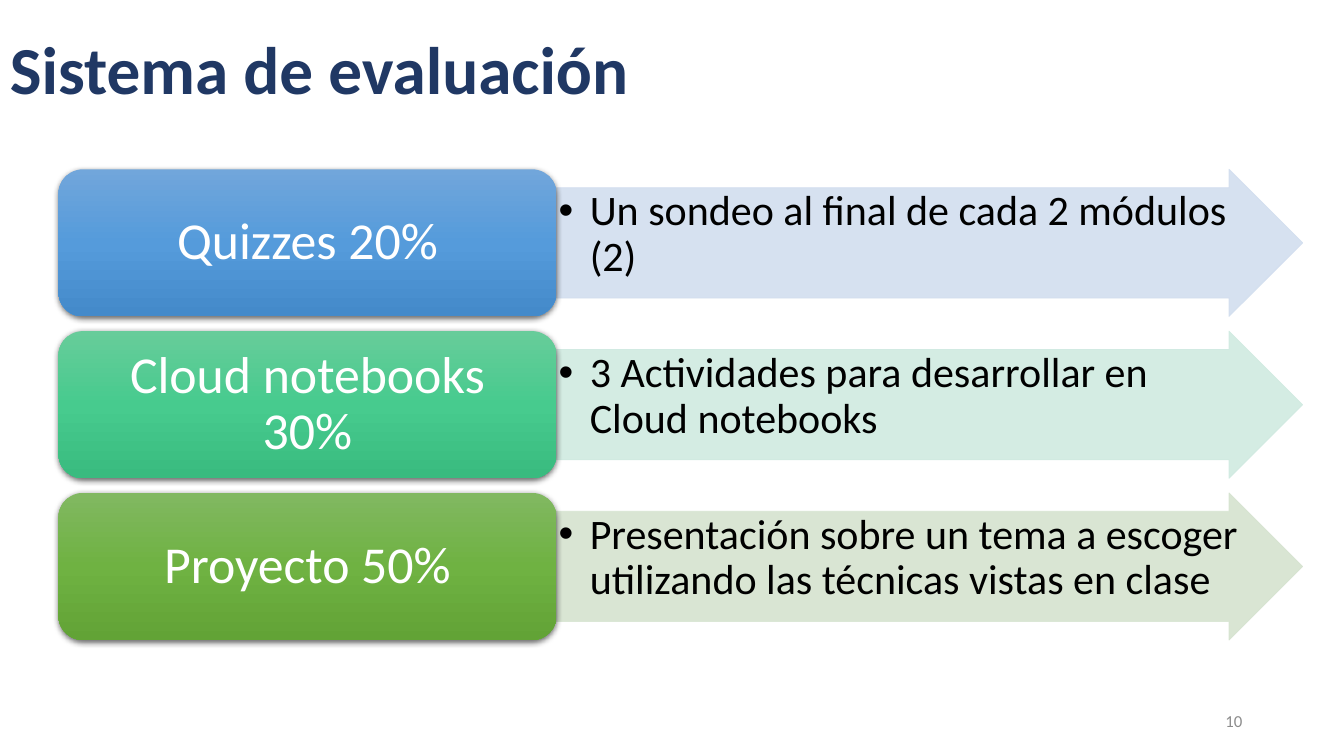
"""Build the slide on the evaluation system: three weighted parts and what each one asks."""
from copy import deepcopy

from lxml import etree
from pptx import Presentation
from pptx import util as u
from pptx.dml.color import RGBColor
from pptx.enum import shapes, text
from pptx.oxml import ns

THEME = {
    "font": "Calibri",
    "title": (48, "203864"),
    "label": (37, "FFFFFF"),
    "detail": (30, "000000"),
    "number": (12, "8C8C8C"),
    "rows": [
        ("D2DEEF", ("71A6DB", "559BDB", "448ACA")),
        ("D0EAE1", ("67CC9A", "47CB8E", "39BB7F")),
        ("D5E3CF", ("81B861", "6FB242", "62A336")),
    ],
}
PARTS = [
    ("Quizzes 20%", "Un sondeo al final de cada 2 módulos (2)"),
    ("Cloud notebooks 30%", "3 Actividades para desarrollar en Cloud notebooks"),
    ("Proyecto 50%", "Presentación sobre un tema a escoger utilizando las técnicas vistas en clase"),
]
LEFT, TOP = 0.58, 1.68
LABEL_WIDTH, ARROW_WIDTH = 4.94, 7.4
ROW_HEIGHT, ROW_PITCH = 1.46, 1.605
BULLET_INDENT = u.Inches(0.31)


def write(box, words, style, align, anchor, insets=(0.1, 0.05), spacing=0.9):
    """Fill a box with one styled paragraph and return the paragraph."""
    frame = box.text_frame
    frame.word_wrap = True
    frame.vertical_anchor = anchor
    frame.margin_left = frame.margin_right = u.Inches(insets[0])
    frame.margin_top = frame.margin_bottom = u.Inches(insets[1])
    para = frame.paragraphs[0]
    para.alignment = align
    para.line_spacing = spacing
    span = para.add_run()
    span.text = words
    size, color = THEME[style]
    span.font.name = THEME["font"]
    span.font.size = u.Pt(size)
    span.font.color.rgb = RGBColor.from_string(color)
    return para


def add_child(parent, tag, **attributes):
    """Append a DrawingML element and return it."""
    values = {name: str(value) for name, value in attributes.items()}
    return etree.SubElement(parent, ns.qn(tag), values)


deck = Presentation()
deck.slide_width, deck.slide_height = u.Inches(13.33), u.Inches(7.5)
page = deck.slides.add_slide(deck.slide_layouts[6])

title = page.shapes.add_textbox(0, 0, u.Inches(11.5), u.Inches(1.45))
heading = write(title, "Sistema de evaluación", "title", text.PP_ALIGN.LEFT, text.MSO_ANCHOR.MIDDLE)
heading.runs[0].font.bold = True

for row, ((name, task), (tint, shades)) in enumerate(zip(PARTS, THEME["rows"])):
    top = u.Inches(TOP + row * ROW_PITCH)
    height = u.Inches(ROW_HEIGHT)

    arrow = page.shapes.add_shape(
        shapes.MSO_SHAPE.RIGHT_ARROW,
        u.Inches(LEFT + LABEL_WIDTH), top, u.Inches(ARROW_WIDTH), height)
    arrow.adjustments[0] = 0.75
    arrow.adjustments[1] = 0.5
    arrow.shadow.inherit = False
    arrow.line.width = u.Pt(0.5)
    for fill in (arrow.fill, arrow.line.fill):
        fill.solid()
        fill.fore_color.rgb = RGBColor.from_string(tint)
    for color in arrow._element.spPr.iter(ns.qn("a:srgbClr")):
        add_child(color, "a:alpha", val=90000)
    detail = write(arrow, task, "detail", text.PP_ALIGN.LEFT, text.MSO_ANCHOR.TOP, (0.02, 0.02))
    properties = detail._p.get_or_add_pPr()
    properties.set("marL", str(BULLET_INDENT))
    properties.set("indent", str(-BULLET_INDENT))
    add_child(properties, "a:buFont", typeface="Arial")
    add_child(properties, "a:buChar", char="•")

    label = page.shapes.add_shape(
        shapes.MSO_SHAPE.ROUNDED_RECTANGLE, u.Inches(LEFT), top, u.Inches(LABEL_WIDTH), height)
    label.line.fill.background()
    label.fill.gradient()
    label.fill.gradient_angle = 270
    stop_list = label._element.spPr.find(".//" + ns.qn("a:gsLst"))
    stop_list.insert(1, deepcopy(stop_list[0]))
    for index, (stop, shade) in enumerate(zip(label.fill.gradient_stops, shades)):
        stop.position = index / 2
        stop.color.rgb = RGBColor.from_string(shade)
    label.shadow.inherit = False
    effects = label._element.spPr.find(ns.qn("a:effectLst"))
    shadow = add_child(effects, "a:outerShdw", blurRad=u.Pt(4.5), dist=u.Pt(1.5),
                       dir=5400000, algn="ctr", rotWithShape=0)
    add_child(add_child(shadow, "a:srgbClr", val="000000"), "a:alpha", val=63000)
    write(label, name, "label", text.PP_ALIGN.CENTER, text.MSO_ANCHOR.MIDDLE, (0.15, 0.08))

number = page.shapes.add_textbox(u.Inches(9.42), u.Inches(6.95), u.Inches(3), u.Inches(0.4))
write(number, "10", "number", text.PP_ALIGN.RIGHT, text.MSO_ANCHOR.MIDDLE, spacing=1.0)

deck.save("out.pptx")
